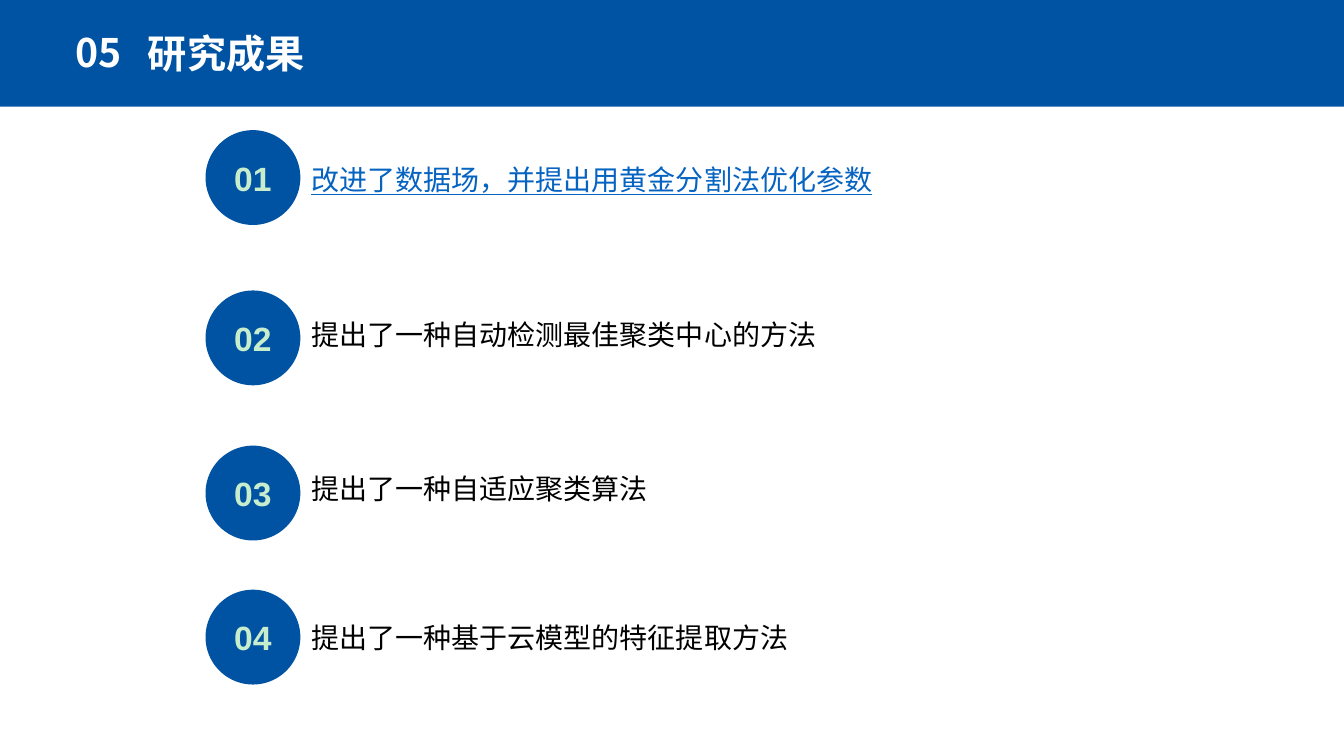
"""Build the research results slide with four numbered findings."""
from dataclasses import dataclass

from lxml import etree
from pptx import Presentation
from pptx.dml.color import RGBColor
from pptx.enum.shapes import MSO_SHAPE
from pptx.enum.text import MSO_ANCHOR, MSO_AUTO_SIZE, PP_ALIGN
from pptx.oxml.ns import qn
from pptx.shapes.autoshape import Shape
from pptx.slide import Slide
from pptx.util import Cm, Pt

RECTANGLE = MSO_SHAPE.RECTANGLE
OVAL = MSO_SHAPE.OVAL
MIDDLE = MSO_ANCHOR.MIDDLE
GROW = MSO_AUTO_SIZE.SHAPE_TO_FIT_TEXT
LEFT = PP_ALIGN.LEFT
CENTER = PP_ALIGN.CENTER

BLUE = RGBColor(0x00, 0x53, 0xA3)
MINT = RGBColor(0xC7, 0xED, 0xCC)
WHITE = RGBColor(0xFF, 0xFF, 0xFF)
BLACK = RGBColor(0x00, 0x00, 0x00)
LINK_BLUE = RGBColor(0x05, 0x63, 0xC1)

LATIN_FONT = "Arial"
CHINESE_FONT = "Noto Sans CJK SC"

SLIDE_WIDTH = 33.87
SLIDE_HEIGHT = 19.05
BAR_HEIGHT = 2.69
CIRCLE_LEFT = 5.18
CIRCLE_SIZE = 2.39
FINDING_LEFT = 7.6
FINDING_HEIGHT = 1.12


@dataclass(frozen=True)
class Area:
    left: float
    top: float
    width: float
    height: float

    def lengths(self) -> tuple[Cm, Cm, Cm, Cm]:
        return Cm(self.left), Cm(self.top), Cm(self.width), Cm(self.height)


@dataclass(frozen=True)
class Style:
    size: int
    color: RGBColor
    font: str = LATIN_FONT
    bold: bool = False
    underline: bool = False
    alignment: PP_ALIGN = LEFT


@dataclass(frozen=True)
class Finding:
    text: str
    circle_top: float
    text_top: float
    text_width: float
    style: Style


TITLE = Style(28, WHITE, CHINESE_FONT, bold=True)
SECTION_NUMBER = Style(28, WHITE, CHINESE_FONT, bold=True, alignment=CENTER)
CIRCLE_NUMBER = Style(24, MINT, bold=True, alignment=CENTER)
PLAIN = Style(20, BLACK)
LINKED = Style(20, LINK_BLUE, underline=True)

FINDINGS = [
    Finding("改进了数据场，并提出用黄金分割法优化参数", 3.28, 3.96, 19.23, LINKED),
    Finding("提出了一种自动检测最佳聚类中心的方法", 7.32, 7.87, 23.22, PLAIN),
    Finding("提出了一种自适应聚类算法", 11.23, 11.76, 21.41, PLAIN),
    Finding("提出了一种基于云模型的特征提取方法", 14.86, 15.52, 22.1, PLAIN),
]


def write_text(box: Shape, text: str, style: Style) -> None:
    box.text_frame.text = text
    paragraph = box.text_frame.paragraphs[0]
    paragraph.alignment = style.alignment
    span = paragraph.runs[0]
    span.font.size = Pt(style.size)
    span.font.color.rgb = style.color
    span.font.name = style.font
    span.font.bold = style.bold
    span.font.underline = style.underline
    east_asian = etree.SubElement(span.font._element, qn("a:ea"))
    east_asian.set("typeface", CHINESE_FONT)


def add_label(page: Slide, area: Area, text: str, style: Style) -> None:
    box = page.shapes.add_textbox(*area.lengths())
    box.text_frame.word_wrap = True
    box.text_frame.auto_size = GROW
    write_text(box, text, style)


def add_blue_shape(page: Slide, kind: MSO_SHAPE, area: Area) -> Shape:
    shape = page.shapes.add_shape(kind, *area.lengths())
    shape.shadow.inherit = False
    shape.fill.solid()
    shape.fill.fore_color.rgb = BLUE
    shape.line.fill.background()
    return shape


def add_finding(page: Slide, number: int, finding: Finding) -> None:
    circle_area = Area(CIRCLE_LEFT, finding.circle_top, CIRCLE_SIZE, CIRCLE_SIZE)
    circle = add_blue_shape(page, OVAL, circle_area)
    circle.text_frame.vertical_anchor = MIDDLE
    write_text(circle, f"{number:02d}", CIRCLE_NUMBER)
    text_area = Area(FINDING_LEFT, finding.text_top, finding.text_width, FINDING_HEIGHT)
    add_label(page, text_area, finding.text, finding.style)


def main() -> None:
    deck = Presentation()
    deck.slide_width = Cm(SLIDE_WIDTH)
    deck.slide_height = Cm(SLIDE_HEIGHT)
    page = deck.slides.add_slide(deck.slide_layouts[6])
    page.background.fill.solid()
    page.background.fill.fore_color.rgb = WHITE

    add_blue_shape(page, RECTANGLE, Area(0, 0, SLIDE_WIDTH, BAR_HEIGHT))
    add_label(page, Area(3.48, 0.61, 15.01, 1.45), "研究成果", TITLE)
    add_label(page, Area(1.32, 0.58, 2.31, 1.45), "05", SECTION_NUMBER)
    for number, finding in enumerate(FINDINGS, start=1):
        add_finding(page, number, finding)

    deck.save("out.pptx")


if __name__ == "__main__":
    main()
